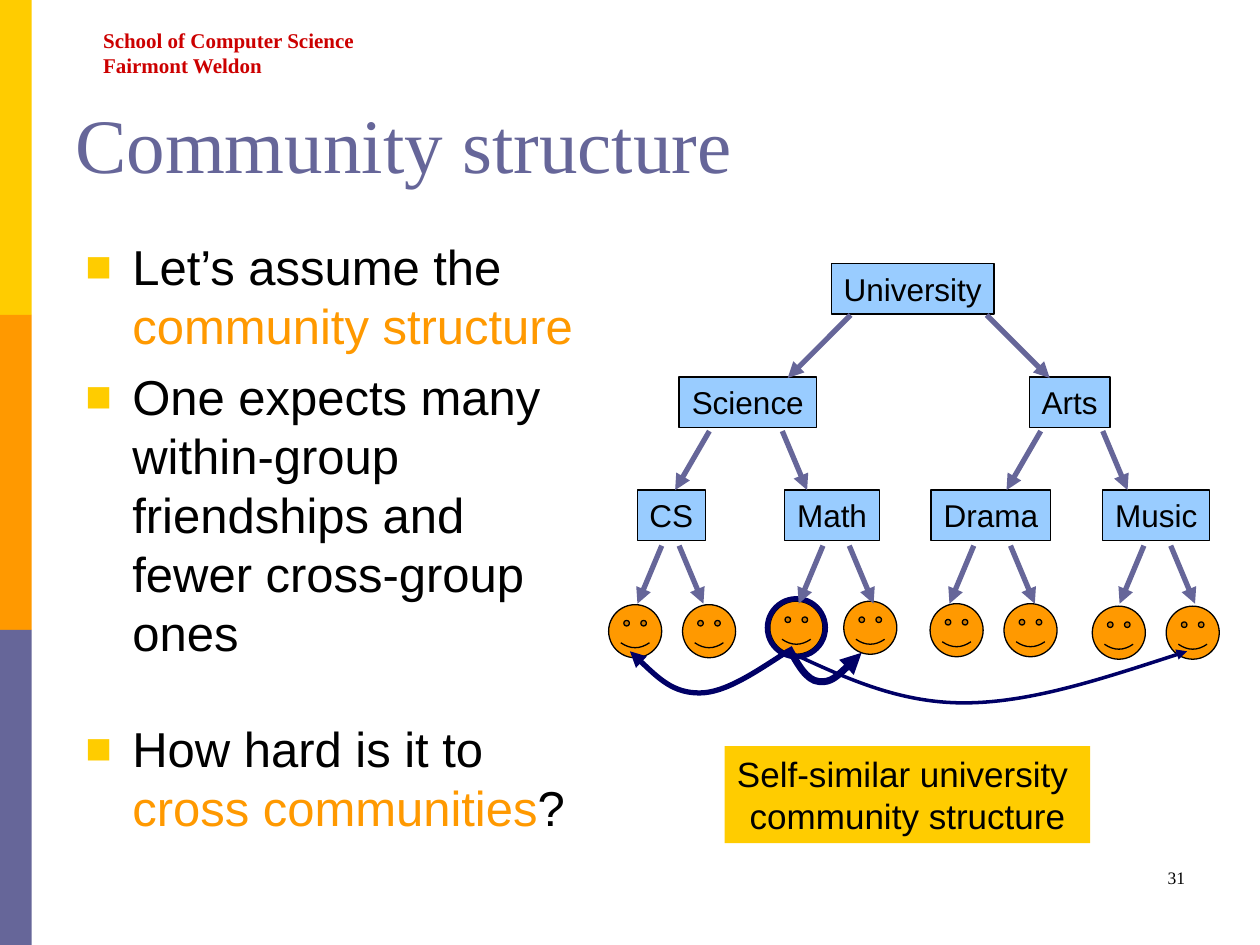
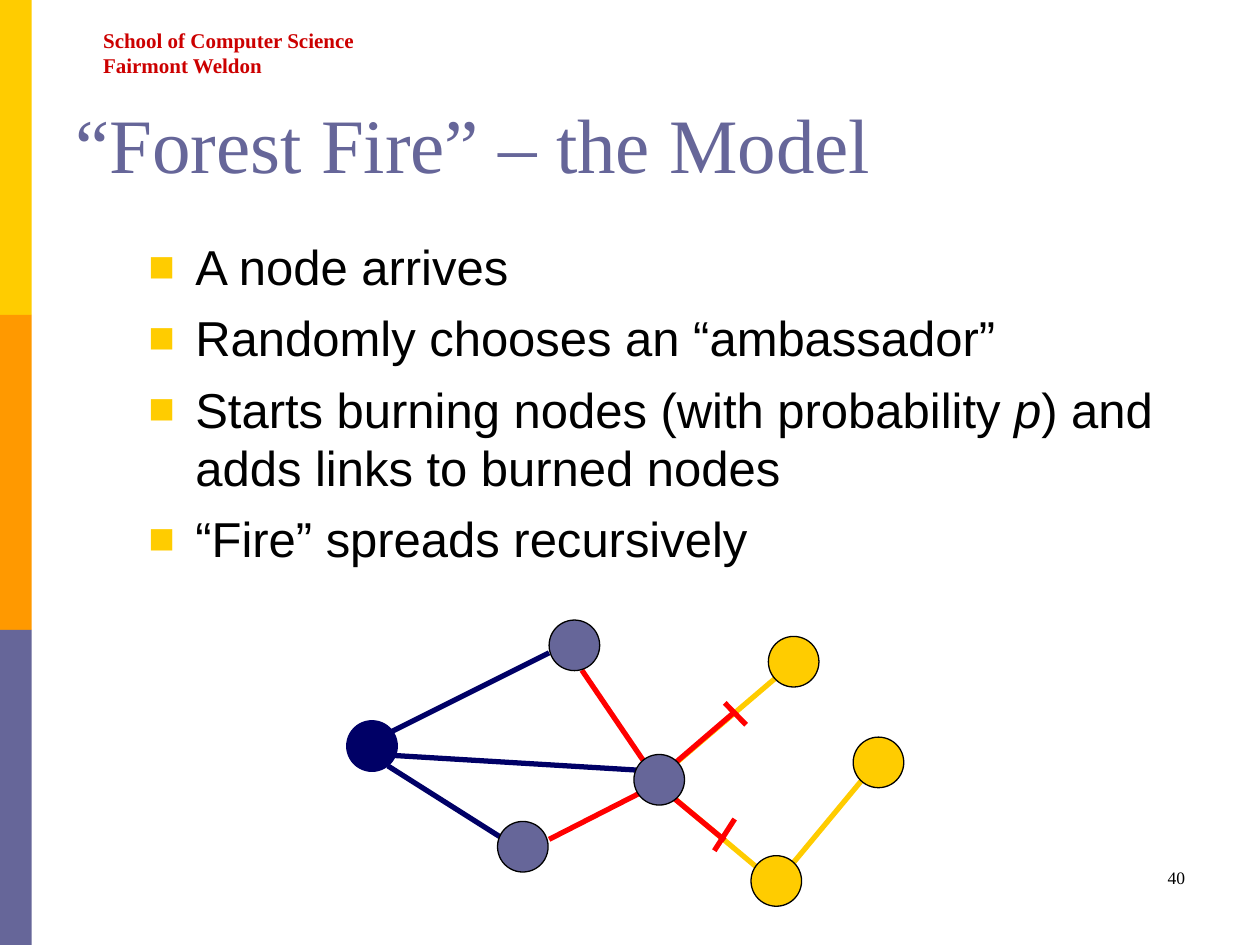
from lxml.etree import SubElement
from pptx import Presentation
from pptx.dml.color import RGBColor
from pptx.enum.shapes import MSO_CONNECTOR, MSO_SHAPE
from pptx.enum.text import MSO_ANCHOR, PP_ALIGN
from pptx.oxml.ns import qn
from pptx.util import Cm, Pt

GOLD, AMBER, PURPLE = "FFCC00", "FF9900", "666699"
NAVY, SKY, RED, BLACK = "000066", "99CCFF", "FF0000", "000000"
SANS, SERIF = "Arial", "Times New Roman"


def color(code):
    return RGBColor.from_string(code)


def cms(*nums):
    return [Cm(num) for num in nums]


def paint(part, code):
    part.fill.solid()
    part.fill.fore_color.rgb = color(code)


def stroke(part, code, width):
    if code:
        part.line.color.rgb = color(code)
        part.line.width = Pt(width)
    else:
        part.line.fill.background()


def tip(part):
    line = part.line._get_or_add_ln()
    SubElement(line, qn("a:tailEnd"), type="triangle")


def bullet(para):
    props = para._p.get_or_add_pPr()
    props.set("marL", str(Cm(0.95)))
    props.set("indent", str(Cm(-0.95)))
    SubElement(SubElement(props, qn("a:buClr")), qn("a:srgbClr"), val=GOLD)
    SubElement(props, qn("a:buSzPct"), val="90000")
    SubElement(props, qn("a:buFont"), typeface=SANS)
    SubElement(props, qn("a:buChar"), char="■")


def write(part, *paras, size=18, font=SANS, ink=BLACK, bold=False,
          align=PP_ALIGN.LEFT, anchor=MSO_ANCHOR.TOP, wrap=True, gaps=None):
    frame = part.text_frame
    frame.word_wrap = wrap
    frame.vertical_anchor = anchor
    for index, runs in enumerate(paras):
        para = frame.add_paragraph() if index else frame.paragraphs[0]
        para.alignment = align
        if gaps:
            para.space_before = Pt(gaps[index])
            bullet(para)
        for item in [runs] if isinstance(runs, str) else runs:
            words, style = (item, {}) if isinstance(item, str) else item
            run = para.add_run()
            run.text = words
            run.font.name = font
            run.font.size = Pt(size)
            run.font.bold = bold
            run.font.italic = style.get("slant", False)
            run.font.color.rgb = color(style.get("ink", ink))


def label(slide, box, *paras, **style):
    write(slide.shapes.add_textbox(*cms(*box)), *paras, **style)


def shape(slide, kind, box, fill=None, edge=None, width=0.75):
    part = slide.shapes.add_shape(kind, *cms(*box))
    part.shadow.inherit = False
    if fill:
        paint(part, fill)
    else:
        part.fill.background()
    stroke(part, edge, width)
    return part


def link(slide, ends, code, arrow=False):
    part = slide.shapes.add_connector(MSO_CONNECTOR.STRAIGHT, *cms(*ends))
    stroke(part, code, 3)
    if arrow:
        tip(part)
    SubElement(part._element.spPr, qn("a:effectLst"))


def fork(slide, left, right, top, foot, shift, lean=None):
    link(slide, (left, top, left - shift, foot), PURPLE, True)
    link(slide, (right, top, right + (lean or shift), foot), PURPLE, True)


def curve(slide, width, start, *points):
    pen = slide.shapes.build_freeform(*cms(*start))
    pen.add_line_segments([cms(*point) for point in points], close=False)
    part = pen.convert_to_shape()
    track = part._element.find(".//" + qn("a:path"))
    steps = track.findall(qn("a:lnTo"))
    for first in range(0, len(steps), 3):
        bend = SubElement(track, qn("a:cubicBezTo"))
        for step in steps[first:first + 3]:
            bend.append(step[0])
            track.remove(step)
    part.shadow.inherit = False
    part.fill.background()
    stroke(part, NAVY, width)
    tip(part)


def base(deck, title, page):
    slide = deck.slides.add_slide(deck.slide_layouts[6])
    for row, code in enumerate((GOLD, AMBER, PURPLE)):
        shape(slide, MSO_SHAPE.RECTANGLE, (0, row * 6.35, 0.64, 6.35), code)
    label(slide, (1.83, 0.43, 5.56, 1.27), "School of Computer Science",
          "Fairmont Weldon", size=12, font=SERIF, ink="CC0000", bold=True,
          wrap=False)
    label(slide, (1.27, 0.76, 22.86, 3.18), title, size=44, font=SERIF,
          ink=PURPLE, anchor=MSO_ANCHOR.BOTTOM)
    label(slide, (18.21, 17.35, 5.93, 1.27), page, size=10, font=SERIF,
          align=PP_ALIGN.RIGHT)
    return slide


def tree(slide):
    for left, top in ((12.27, 12.19), (15.52, 12.12),
                      (18.75, 12.17), (22.02, 12.22)):
        for step in (0, 1.49):
            shape(slide, MSO_SHAPE.SMILEY_FACE,
                  (left + step, top, 1.07, 1.07), AMBER, BLACK)
    for name, left, top, width in (
            ("University", 16.76, 5.31, 3.28),
            ("Science", 13.69, 7.6, 2.77), ("Arts", 20.75, 7.6, 1.63),
            ("CS", 12.85, 9.88, 1.37), ("Math", 15.82, 9.88, 1.91),
            ("Drama", 18.77, 9.88, 2.41), ("Music", 22.23, 9.88, 2.16)):
        part = shape(slide, MSO_SHAPE.RECTANGLE, (left, top, width, 1.02),
                     SKY, BLACK)
        write(part, name, align=PP_ALIGN.CENTER, wrap=False)
    shape(slide, MSO_SHAPE.OVAL, (15.47, 12.07, 1.17, 1.17), None, NAVY, 3)
    fork(slide, 17.15, 19.89, 6.35, 7.62, 1.27)
    for left, right in ((14.3, 15.77), (20.98, 22.23)):
        fork(slide, left, right, 8.69, 9.88, 0.69, 0.5)
    for left, right in ((13.34, 13.69), (16.59, 17.12),
                        (19.63, 20.37), (23.06, 23.6)):
        fork(slide, left, right, 11, 12.17, 0.49)


def bonds(slide):
    curve(slide, 2, (15.88, 13.13), (16.99, 13.64), (18.08, 14.17),
          (19.43, 14.17), (20.78, 14.17), (22.35, 13.64), (23.93, 13.13))
    curve(slide, 4, (15.9, 13.06), (16.08, 13.39), (16.26, 13.72),
          (16.51, 13.74), (16.76, 13.77), (17.07, 13.46), (17.37, 13.16))
    curve(slide, 3, (15.88, 13.13), (15.24, 13.54), (14.63, 13.97),
          (14.1, 13.97), (13.56, 13.97), (13.13, 13.54), (12.7, 13.13))


def campus(deck):
    slide = base(deck, "Community structure", "31")
    amber = {"ink": AMBER}
    label(slide, (1.47, 4.65, 10.59, 13.34),
          ["Let’s assume the ", ("community structure", amber)],
          "One expects many within-group friendships and "
          "fewer cross-group ones",
          ["How hard is it to ", ("cross communities", amber), "?"],
          size=28, gaps=(7, 7, 33))
    tree(slide)
    bonds(slide)
    note = shape(slide, MSO_SHAPE.RECTANGLE, (14.61, 15.04, 7.37, 1.96), GOLD)
    write(note, "Self-similar university ", "community structure", size=20,
          align=PP_ALIGN.CENTER, wrap=False)


def graph(slide):
    edges = {
        GOLD: ((13.34, 15.88, 15.37, 17.58), (15.82, 13.51, 13.44, 15.54),
               (17.53, 15.54, 15.82, 17.6)),
        RED: ((14.81, 14.35, 13.54, 15.44), (11.73, 13.51, 13.11, 15.54),
              (11.07, 16.92, 13.11, 15.88), (13.39, 15.93, 14.61, 16.94),
              (14.61, 14.17, 15.04, 14.61), (14.81, 16.51, 14.4, 17.15)),
        NAVY: ((7.82, 15.44, 10.16, 16.92), (7.62, 15.21, 13.11, 15.54),
               (7.67, 14.86, 11.07, 13.16)),
    }
    for code, group in edges.items():
        for ends in group:
            link(slide, ends, code)
    nodes = {
        GOLD: ((17.2, 14.86), (15.14, 17.25), (15.49, 12.83)),
        NAVY: ((6.99, 14.53),),
        PURPLE: ((11.07, 12.5), (12.78, 15.21), (10.03, 16.56)),
    }
    for code, group in nodes.items():
        for left, top in group:
            shape(slide, MSO_SHAPE.OVAL, (left, top, 1.02, 1.02), code,
                  NAVY if code == NAVY else BLACK)


def fire(deck):
    slide = base(deck, "“Forest Fire” – the Model", "40")
    label(slide, (2.74, 4.65, 21.39, 8.46),
          "A node arrives", "Randomly chooses an “ambassador”",
          ["Starts burning nodes (with probability ", ("p", {"slant": True}),
           ") and adds links to burned nodes"],
          "“Fire” spreads recursively", size=28, gaps=(7,) * 4)
    graph(slide)


def main():
    deck = Presentation()
    deck.slide_width, deck.slide_height = cms(25.4, 19.05)
    campus(deck)
    fire(deck)
    deck.save("out.pptx")


if __name__ == "__main__":
    main()
